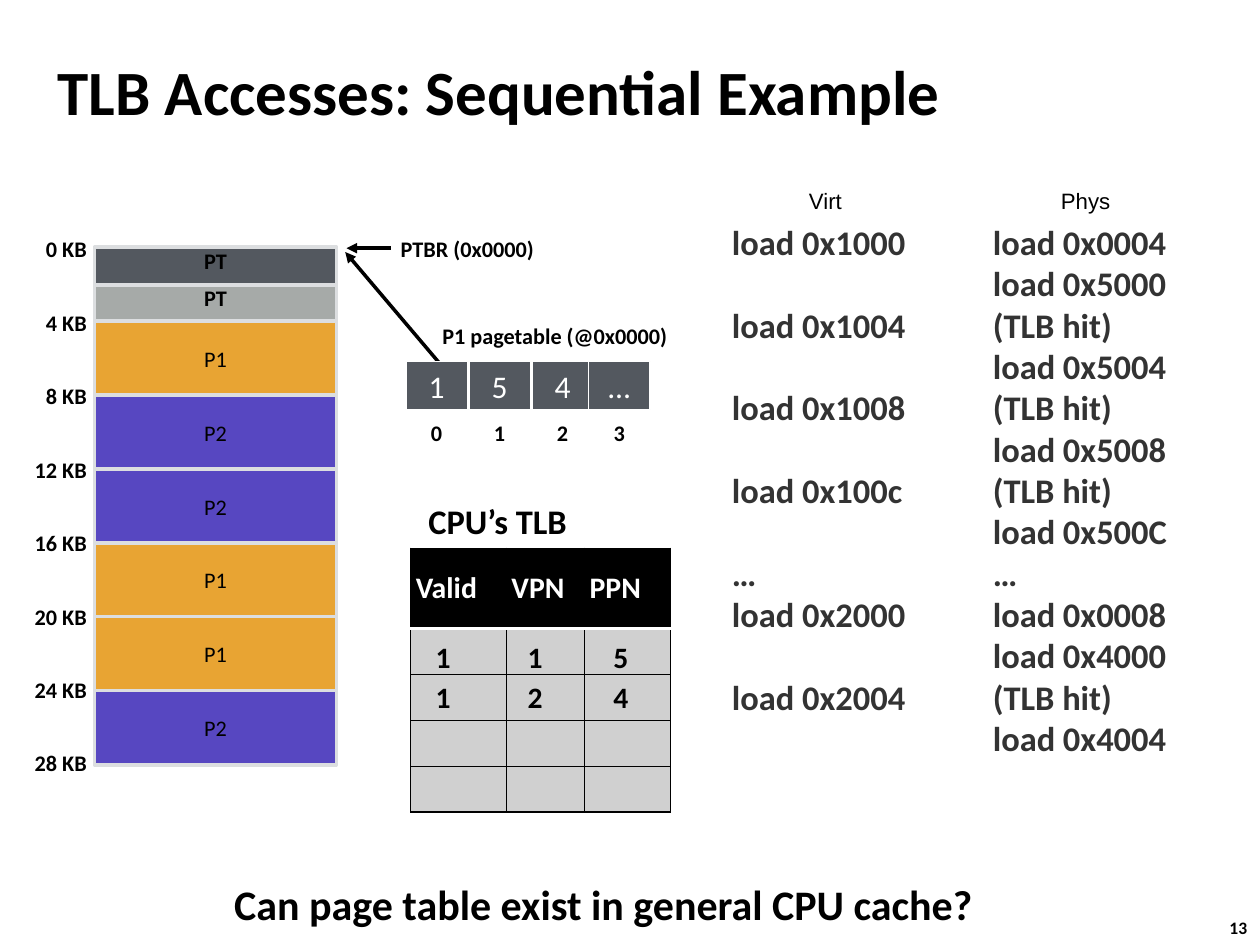
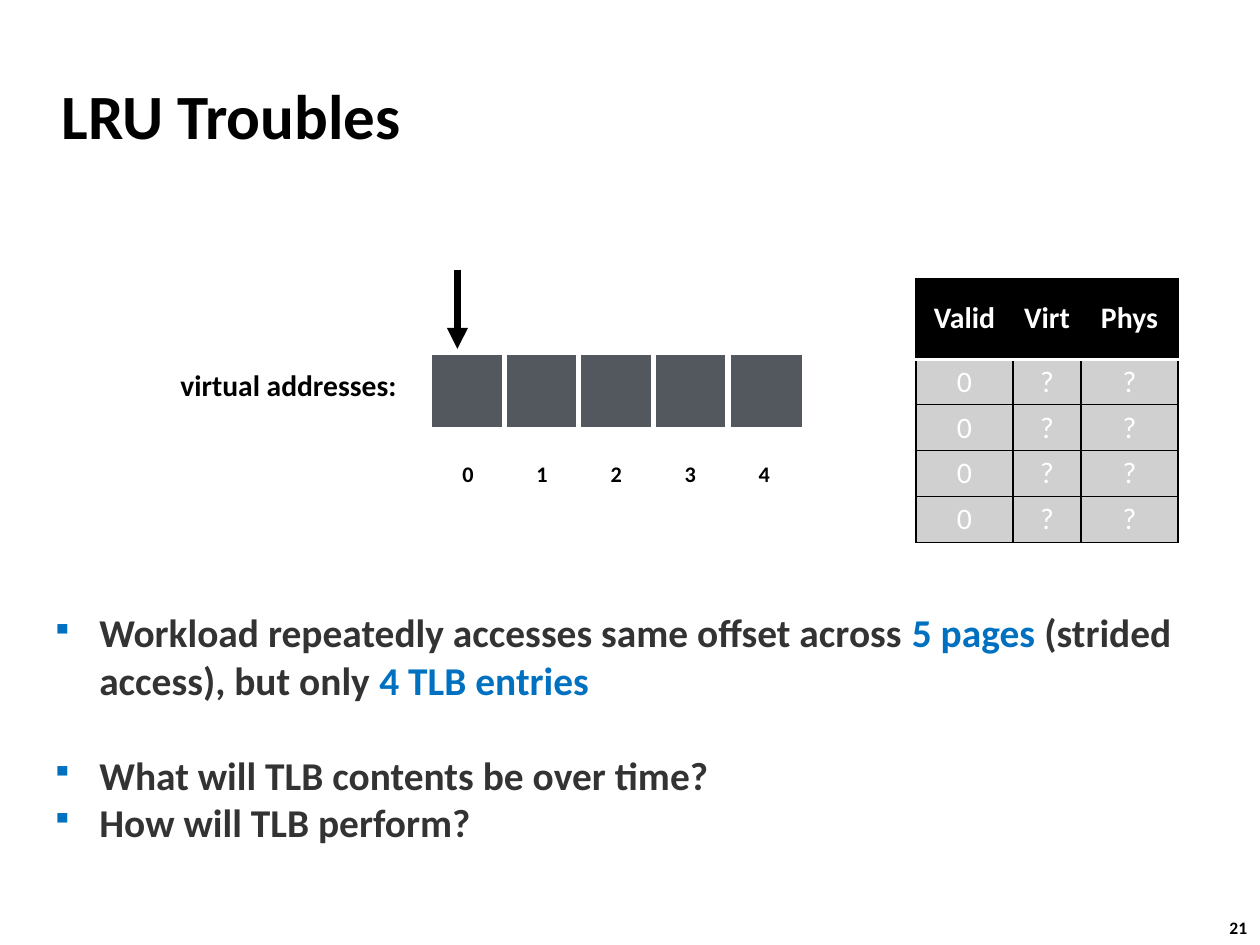
"""Builds two slides on TLB accesses and LRU, placed on a 100 by 75 grid."""
from lxml import etree
from pptx import Presentation
from pptx import util as u
from pptx.dml.color import RGBColor
from pptx.enum import shapes, text
from pptx.oxml.ns import qn

INK = {"black": "000000", "white": "FFFFFF", "body": "333333", "blue": "0070C0",
       "dark": "53585F", "mid": "A6AAA8", "rim": "DCDEE0", "cell": "D0D0D0",
       "P1": "E8A433", "P2": "5747C1"}
RGB = {name: RGBColor.from_string(code) for name, code in INK.items()}
SIDE = {"l": text.PP_ALIGN.LEFT, "c": text.PP_ALIGN.CENTER, "r": text.PP_ALIGN.RIGHT}

deck = Presentation()
deck.slide_width, deck.slide_height = u.Inches(10), u.Inches(7.5)
COL, ROW = deck.slide_width / 100, deck.slide_height / 75


def box(page, x, y, w, h, words="", size=12.7, bold=True, ink="black", fill=None,
        rim="rim", thick=2, side="l", top=False, pad=0.4, font="Calibri", wrap=False):
    place = int(x * COL), int(y * ROW), int(w * COL), int(h * ROW)
    if fill:
        item = page.shapes.add_shape(shapes.MSO_SHAPE.RECTANGLE, *place)
        item.shadow.inherit = False
        item.fill.solid()
        item.fill.fore_color.rgb = RGB[fill]
        item.line.color.rgb = RGB[rim]
        item.line.width = u.Pt(thick)
    else:
        item = page.shapes.add_textbox(*place)
    frame = item.text_frame
    frame.word_wrap = wrap
    frame.vertical_anchor = text.MSO_ANCHOR.TOP if top else text.MSO_ANCHOR.MIDDLE
    frame.margin_left = frame.margin_right = int(pad * COL)
    frame.margin_top = frame.margin_bottom = int(min(pad, 0.5) * ROW)
    frame.text = words
    for para in frame.paragraphs:
        para.alignment = SIDE[side]
        for run in para.runs:
            run.font.name, run.font.size, run.font.bold = font, u.Pt(size), bold
            run.font.color.rgb = RGB[ink]
    return frame


def arrow(page, x1, y1, x2, y2, thick=2):
    line = page.shapes.add_connector(shapes.MSO_CONNECTOR.STRAIGHT, int(x1 * COL),
                                     int(y1 * ROW), int(x2 * COL), int(y2 * ROW))
    line.line.color.rgb = RGB["black"]
    line.line.width = u.Pt(thick)
    props = line._element.spPr
    etree.SubElement(props.find(qn("a:ln")), qn("a:tailEnd"), type="triangle")
    etree.SubElement(props, qn("a:effectLst"))


pages = []
for title, x, y, num in [("TLB Accesses: Sequential Example", 3.6, 3, "13"),
                         ("LRU Troubles", 3.9, 4.9, "21")]:
    page = deck.slides.add_slide(deck.slide_layouts[6])
    box(page, x, y, 83, 8.3, title, 36, pad=1, wrap=True)
    box(page, 96.6, 72.3, 3.7, 2.7, num, 10, top=True, pad=1)
    pages.append(page)
seq, lru = pages

TABLES = [(seq, 32.6, 43.5, [7.6, 6.2, 6.8], "l", ["Valid", "VPN", "PPN"], ["", "", ""]),
          (lru, 72.7, 22.1, [7.7, 5.4, 7.7], "c", ["Valid", "Virt", "Phys"], ["0", "?", "?"])]
for page, x, y, cols, side, head, data in TABLES:
    grid = page.shapes.add_table(5, 3, int(x * COL), int(y * ROW),
                                 int(sum(cols) * COL), int(20.9 * ROW)).table
    grid.horz_banding = False
    for c, wide in enumerate(cols):
        grid.columns[c].width = int(wide * COL)
    for r, words in enumerate([head] + [data] * 4):
        grid.rows[r].height = int((3.64 if r else 6.4) * ROW)
        for c, word in enumerate(words):
            cell = grid.cell(r, c)
            cell.margin_left = cell.margin_right = int(0.4 * COL)
            cell.margin_top = cell.margin_bottom = int(0.2 * ROW)
            cell.vertical_anchor = text.MSO_ANCHOR.MIDDLE
            props = cell._tc.get_or_add_tcPr()
            for edge in ["lnL", "lnR", "lnT", "lnB"]:
                seam = (r, edge) in [(0, "lnB"), (1, "lnT")]
                line = etree.SubElement(props, qn("a:" + edge),
                                        w=str(u.Pt(2 if seam else 0.75)))
                paint = etree.SubElement(line, qn("a:solidFill"))
                etree.SubElement(paint, qn("a:srgbClr"), val=INK["white" if seam else "black"])
            cell.fill.solid()
            cell.fill.fore_color.rgb = RGB["cell" if r else "black"]
            para = cell.text_frame.paragraphs[0]
            para.text = word
            para.alignment = SIDE[side]
            for run in para.runs:
                run.font.name, run.font.size, run.font.bold = "Calibri", u.Pt(17), r == 0
                run.font.color.rgb = RGB["white"]

box(seq, 7.5, 19.6, 19.2, 3.8, "PT", fill="dark", side="c", top=True, pad=0)
box(seq, 7.5, 22.6, 19.2, 2.9, "PT", fill="mid", side="c", top=True, pad=0)
for i, name in enumerate(["P1", "P2", "P2", "P1", "P1", "P2"]):
    box(seq, 7.5, 25.5 + 5.86 * i, 19.2, 5.9, name, bold=False, fill=name, side="c", pad=0)
for i in range(8):
    box(seq, 1.7, 18.3 + 5.83 * i, 5.6, 2.9, f"{4 * i} KB", side="r")

arrow(seq, 35.2, 29.2, 27.4, 20)
arrow(seq, 31, 19.7, 27.5, 19.7)
box(seq, 31.4, 18.3, 12, 2.9, "PTBR (0x0000)")
box(seq, 34.7, 25.2, 19.5, 2.9, "P1 pagetable (@0x0000)")
for i, (x, word) in enumerate(zip([32.2, 37.2, 42.2, 46.7], "154…")):
    box(seq, x, 28.7, 4.9, 3.8, word, 18, False, "white", "dark", "white", 1, "c", pad=0)
    box(seq, x + 1.6, 32.85, 2, 2.9, str(i))

box(seq, 33.6, 39.3, 12.5, 4.1, "CPU’s TLB", 19.7)
for r, words in enumerate(["115", "124"]):
    for x, word in zip([33.6, 40.9, 47.7], words):
        box(seq, x, 50.2 + 3.2 * r, 3.4, 3.8, word, 16.9, top=True, pad=1)

box(seq, 63.8, 14.5, 4.2, 2.9, "Virt", bold=False, font="Arial")
box(seq, 83.8, 14.5, 5.4, 2.9, "Phys", bold=False, font="Arial")
virt = ["load 0x1000", "load 0x1004", "load 0x1008", "load 0x100c", "…",
        "load 0x2000", "load 0x2004"]
phys = ["load 0x0004", "load 0x5000", "(TLB hit)", "load 0x5004", "(TLB hit)",
        "load 0x5008", "(TLB hit)", "load 0x500C", "…", "load 0x0008",
        "load 0x4000", "(TLB hit)", "load 0x4004"]
for x, loads, skips in [(58.1, virt, [1, 2, 3, 4, 6]), (78.8, phys, [])]:
    frame = box(seq, x, 17.55, 19.4, 46.2, "\n".join(loads), 19.7, ink="body",
                top=True, pad=0, wrap=True)
    for i, para in enumerate(frame.paragraphs):
        para.line_spacing = u.Pt(23.6)
        para.space_before = u.Pt(23.6 if i in skips else 0)
box(seq, 17.6, 69.2, 61.8, 5, "Can page table exist in general CPU cache?", 24,
    top=True, pad=1)

box(lru, 12.9, 28.7, 19, 3.6, "virtual addresses:", 16.9, side="r")
for i in range(5):
    box(lru, 34.1 + 5.92 * i, 28, 6.1, 6.1, fill="dark", rim="white", thick=3)
    box(lru, 36.3 + 5.88 * i, 36.1, 2, 2.9, str(i))
arrow(lru, 36.3, 21.4, 36.3, 27.7, 4)

points = [[("Workload repeatedly accesses same offset across ", "body"), ("5 pages ", "blue"),
           ("(strided access), but only ", "body"), ("4 TLB entries", "blue")],
          [("What will TLB contents be over time?", "body")],
          [("How will TLB perform?", "body")]]
frame = box(lru, 3.1, 47.8, 93.8, 25.6, "\n" * 2, top=True, pad=1, wrap=True)
for i, (para, parts) in enumerate(zip(frame.paragraphs, points)):
    para.space_before = u.Pt(27.4 if i == 1 else 0)
    props = para._p.get_or_add_pPr()
    props.set("marL", str(u.Inches(0.38)))
    props.set("indent", str(-u.Inches(0.38)))
    paint = etree.SubElement(props, qn("a:buClr"))
    etree.SubElement(paint, qn("a:srgbClr"), val=INK["blue"])
    etree.SubElement(props, qn("a:buSzPct"), val="75000")
    etree.SubElement(props, qn("a:buChar"), char="▪")
    for words, ink in parts:
        run = para.add_run()
        run.text = words
        run.font.name, run.font.size, run.font.bold = "Calibri", u.Pt(22.5), True
        run.font.color.rgb = RGB[ink]

deck.save("out.pptx")
